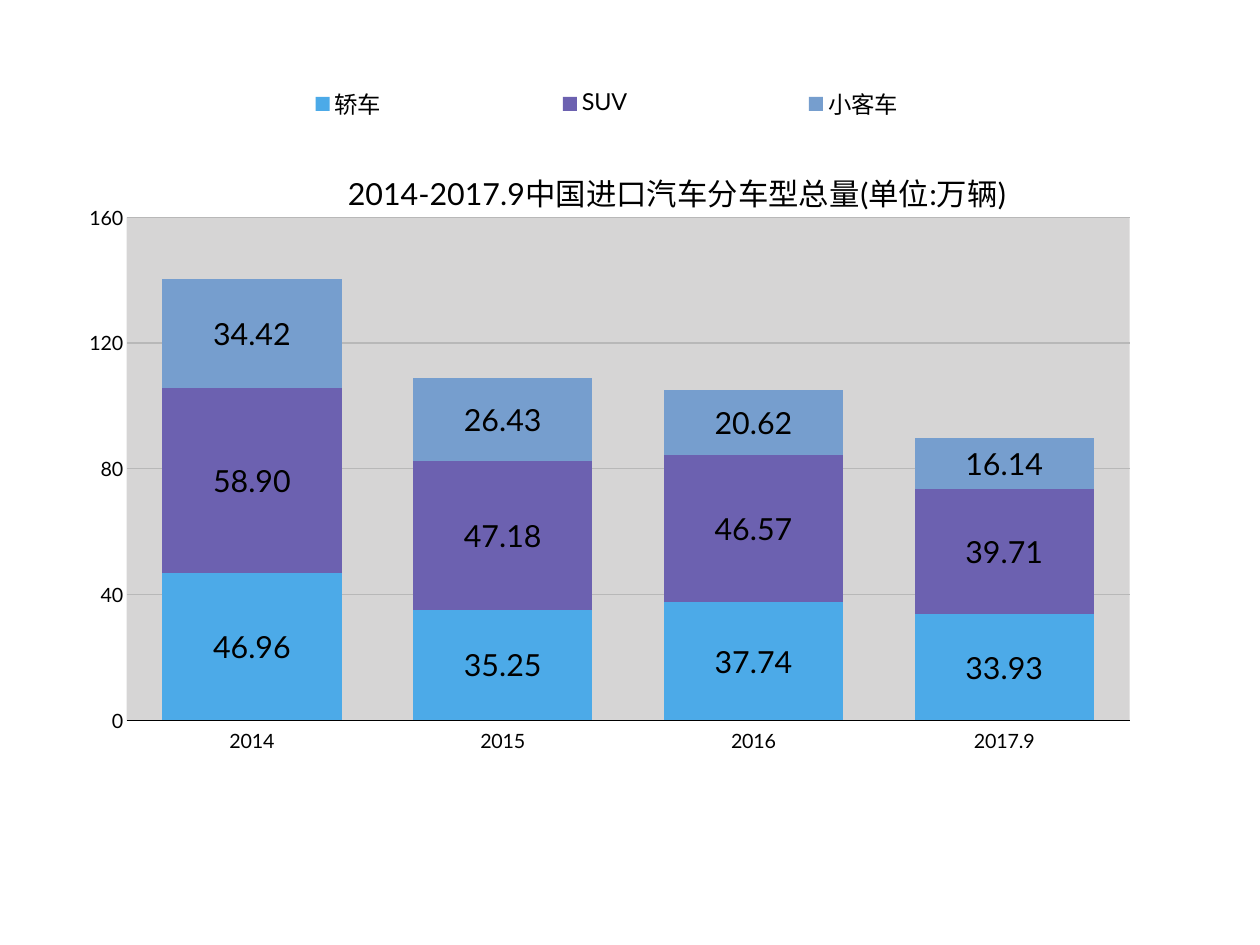
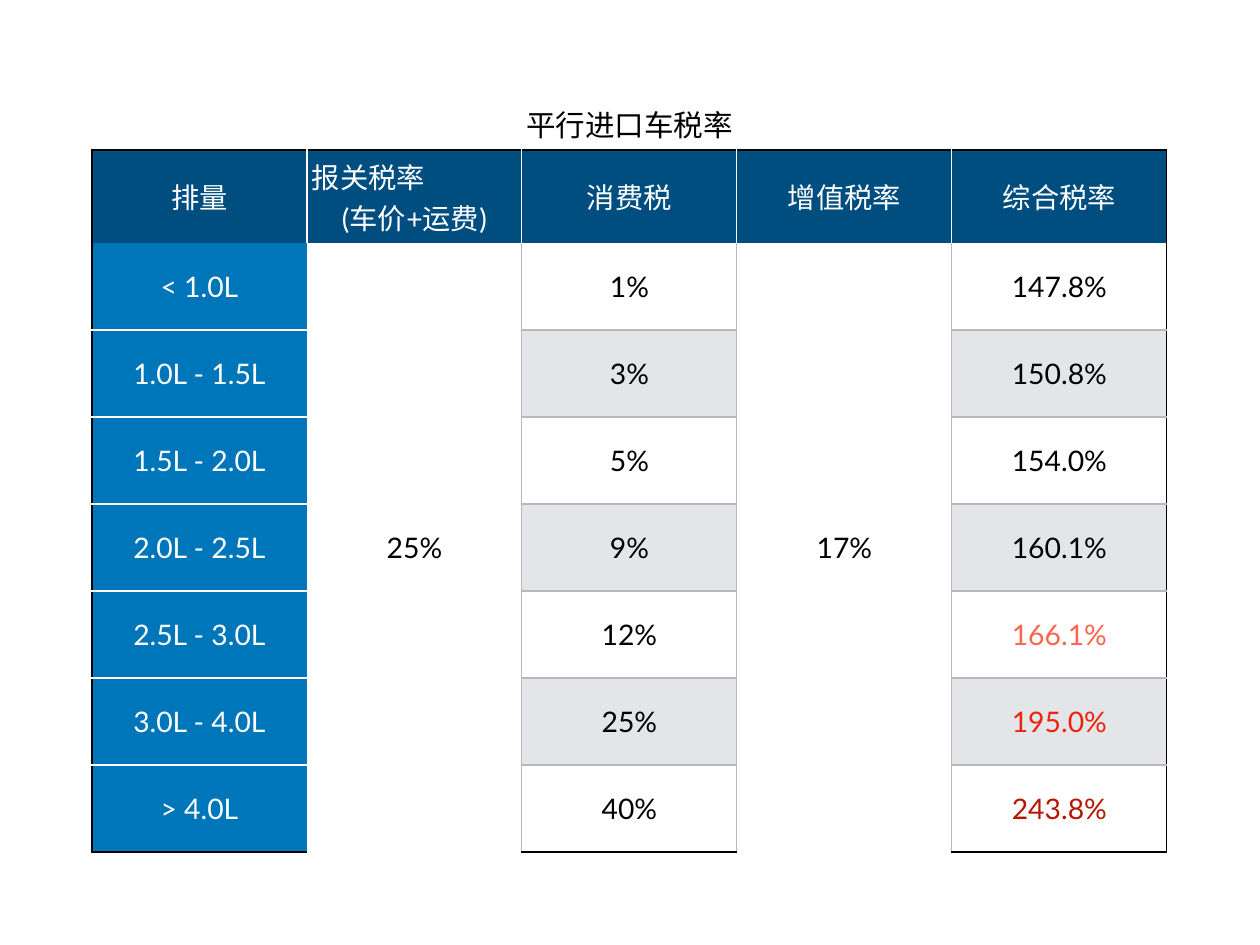
from lxml import etree
from pptx import Presentation
from pptx import util as u
from pptx.chart.data import CategoryChartData
from pptx.dml.color import RGBColor
from pptx.enum import chart as ch, text
from pptx.oxml import parse_xml
from pptx.oxml.ns import nsdecls, qn

PX = 10320  # EMU
FONT, TITLE_FONT = "Lato", "Arial"
COLORS = dict(
    black="000000", white="FFFFFF", rule="B8B8B8", plot="D6D5D5",
    sedan="4CAAE8", suv="6C61B0", van="769ECE",
    header="004D80", label="0076BA", band="E3E5E8",
    high="FF644E", higher="EE230C", highest="B51600",
)

CHART_TITLE = "2014-2017.9中国进口汽车分车型总量(单位:万辆)"
YEARS = ["2014", "2015", "2016", "2017.9"]
SERIES = [
    ("轿车", "sedan", (46.96, 35.25, 37.74, 33.93)),
    ("SUV", "suv", (58.90, 47.18, 46.57, 39.71)),
    ("小客车", "van", (34.42, 26.43, 20.62, 16.14)),
]
CHART_BOX = (78, 80, 1057, 680)

TABLE_TITLE = "平行进口车税率"
HEADERS = ["排量", "报关税率\n(车价+运费)", "消费税", "增值税率", "综合税率"]
DUTY, VAT = "25%", "17%"
RATES = [  # displacement, consumption tax, total rate, colour of total
    ("< 1.0L", "1%", "147.8%", "black"),
    ("1.0L - 1.5L", "3%", "150.8%", "black"),
    ("1.5L - 2.0L", "5%", "154.0%", "black"),
    ("2.0L - 2.5L", "9%", "160.1%", "black"),
    ("2.5L - 3.0L", "12%", "166.1%", "high"),
    ("3.0L - 4.0L", "25%", "195.0%", "higher"),
    ("> 4.0L", "40%", "243.8%", "highest"),
]
TABLE_LEFT, TABLE_TOP, COL_WIDTH = 92, 97, 215
ROW_HEIGHTS = [53, 93] + [87] * len(RATES)
SHARED_COLS = (1, 3)


def px(*lengths):
    return [u.Emu(n * PX) for n in lengths]


def rgb(name):
    return RGBColor.from_string(COLORS[name])


def style_font(font, size, color="black", name=FONT):
    font.size, font.name, font.bold = u.Pt(size), name, False
    font.color.rgb = rgb(color)


def set_layout(el, index, inner=False, **fractions):
    """Give a chart part a manual place, in fractions of the chart."""
    for old in el.findall(qn("c:layout")):
        el.remove(old)
    layout = parse_xml(f"<c:layout {nsdecls('c')}><c:manualLayout/></c:layout>")
    settings = {"layoutTarget": "inner"} if inner else {}
    settings |= {f"{axis}Mode": "edge" for axis in "xy"} | fractions
    for tag, val in settings.items():
        etree.SubElement(layout[0], qn(f"c:{tag}")).set("val", str(val))
    el.insert(index, layout)


def add_sales_chart(slide):
    data = CategoryChartData(number_format="#,##0.00")
    data.categories = YEARS
    for name, _, values in SERIES:
        data.add_series(name, values)
    chart = slide.shapes.add_chart(
        ch.XL_CHART_TYPE.COLUMN_STACKED, *px(*CHART_BOX), data).chart
    style_font(chart.font, 10, name=TITLE_FONT)

    chart.has_title = True
    p = chart.chart_title.text_frame.paragraphs[0]
    p.text = CHART_TITLE
    style_font(p.font, 24.7)
    chart.chart_title.include_in_layout = True
    title = chart.chart_title._element
    set_layout(title, 1, x=0.25, y=0.12)

    chart.has_legend = True
    legend = chart.legend
    legend.position = ch.XL_LEGEND_POSITION.TOP
    legend.include_in_layout = True
    style_font(legend.font, 19)
    set_layout(legend._element, 1, x=0.06, y=0, w=0.88, h=0.07)

    plot_area = chart._chartSpace.chart.plotArea
    set_layout(plot_area, 0, inner=True, x=0.046, y=0.202, w=0.949, h=0.74)
    plot_area.append(parse_xml(
        f"<c:spPr {nsdecls('c', 'a')}><a:solidFill><a:srgbClr val=\"{COLORS['plot']}\"/>"
        "</a:solidFill></c:spPr>"))

    for axis in (chart.category_axis, chart.value_axis):
        axis.major_tick_mark = axis.minor_tick_mark = ch.XL_TICK_MARK.NONE
        style_font(axis.tick_labels.font, 16)
        axis.tick_labels.number_format = "General"
        axis.tick_labels.number_format_is_linked = False
    chart.category_axis.tick_label_position = ch.XL_TICK_LABEL_POSITION.LOW
    line = chart.category_axis.format.line
    line.color.rgb, line.width = rgb("black"), u.Pt(1)
    values = chart.value_axis
    values.minimum_scale, values.maximum_scale, values.major_unit = 0, 160, 40
    values.format.line.fill.background()
    line = values.major_gridlines.format.line
    line.color.rgb, line.width = rgb("rule"), u.Pt(1)

    plot = chart.plots[0]
    plot.gap_width, plot.overlap, plot.vary_by_categories = 40, 100, False
    for series, (_, color, _) in zip(plot.series, SERIES):
        series.format.fill.solid()
        series.format.fill.fore_color.rgb = rgb(color)
        labels = series.data_labels
        labels.show_value = True
        labels.position = ch.XL_LABEL_POSITION.CENTER
        labels.number_format, labels.number_format_is_linked = "#,##0.00", False
        style_font(labels.font, 24.7)


def vertical_rule(row, edge):
    """Colour of the line at the left of column `edge`."""
    if row == 0:
        return None
    if edge in (0, len(HEADERS)):
        return "black"
    if row == 1:
        return "white"
    return None if edge == 1 else "rule"


def horizontal_rule(edge, col):
    """Colour of the line at the top of row `edge`."""
    if edge in (1, len(ROW_HEIGHTS)):
        return "black"
    if edge in (0, 2) or col in SHARED_COLS:
        return None
    return "white" if col == 0 else "rule"


def set_borders(cell, **sides):
    tc_pr = cell._tc.get_or_add_tcPr()
    for i, (side, color) in enumerate(sides.items()):
        fill = (f'<a:solidFill><a:srgbClr val="{COLORS[color]}"/></a:solidFill>'
                if color else "<a:noFill/>")
        tc_pr.insert(i, parse_xml(
            f'<a:ln{side} {nsdecls("a")} w="12700">{fill}</a:ln{side}>'))


def fill_cell(cell, content, color, fill, size=23, name=FONT):
    cell.vertical_anchor = text.MSO_ANCHOR.MIDDLE
    cell.margin_left = cell.margin_right = cell.margin_top = cell.margin_bottom = px(5)[0]
    cell.fill.solid()
    cell.fill.fore_color.rgb = rgb(fill)
    cell.text = content
    for p in cell.text_frame.paragraphs:
        p.alignment = text.PP_ALIGN.CENTER
        style_font(p.font, size, color, name)


def add_tax_table(slide):
    n_rows, n_cols = len(ROW_HEIGHTS), len(HEADERS)
    table = slide.shapes.add_table(
        n_rows, n_cols,
        *px(TABLE_LEFT, TABLE_TOP, COL_WIDTH * n_cols, sum(ROW_HEIGHTS))).table
    table.first_row = table.horz_banding = False
    for column in table.columns:
        column.width = px(COL_WIDTH)[0]
    for row, height in zip(table.rows, px(*ROW_HEIGHTS)):
        row.height = height

    table.cell(0, 0).merge(table.cell(0, n_cols - 1))
    for col in SHARED_COLS:
        table.cell(2, col).merge(table.cell(n_rows - 1, col))

    fill_cell(table.cell(0, 0), TABLE_TITLE, "black", "white", 24, TITLE_FONT)
    for col, header in enumerate(HEADERS):
        fill_cell(table.cell(1, col), header, "white", "header")
    table.cell(1, 1).text_frame.paragraphs[0].alignment = text.PP_ALIGN.LEFT
    for col, rate in zip(SHARED_COLS, (DUTY, VAT)):
        fill_cell(table.cell(2, col), rate, "black", "white")
    for i, (size, tax, total, color) in enumerate(RATES):
        band = "band" if i % 2 else "white"
        fill_cell(table.cell(i + 2, 0), size, "white", "label")
        fill_cell(table.cell(i + 2, 2), tax, "black", band)
        fill_cell(table.cell(i + 2, 4), total, color, band)

    for row in range(n_rows):
        for col in range(n_cols):
            set_borders(table.cell(row, col),
                        L=vertical_rule(row, col), R=vertical_rule(row, col + 1),
                        T=horizontal_rule(row, col), B=horizontal_rule(row + 1, col))


def main():
    prs = Presentation()
    prs.slide_width, prs.slide_height = px(1260, 945)
    blank = prs.slide_layouts[6]
    for build in (add_sales_chart, add_tax_table):
        build(prs.slides.add_slide(blank))
    prs.save("out.pptx")


if __name__ == "__main__":
    main()
